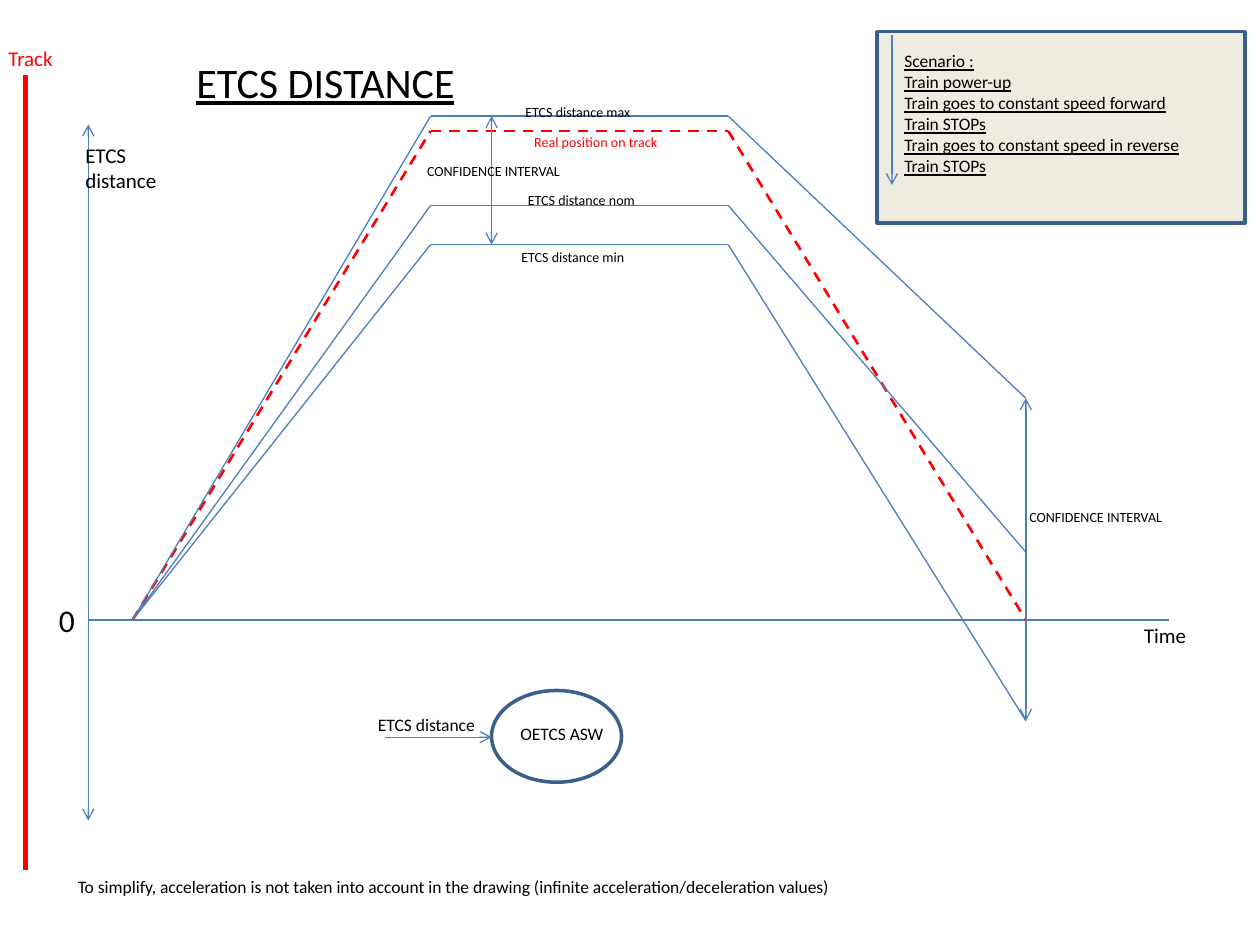
from dataclasses import dataclass

from lxml import etree
from pptx import Presentation
from pptx.dml.color import RGBColor
from pptx.enum.dml import MSO_LINE_DASH_STYLE
from pptx.enum.shapes import MSO_CONNECTOR_TYPE, MSO_SHAPE
from pptx.enum.text import MSO_AUTO_SIZE
from pptx.oxml.ns import qn
from pptx.util import Cm, Pt

STRAIGHT = MSO_CONNECTOR_TYPE.STRAIGHT
DASH = MSO_LINE_DASH_STYLE.DASH
RECTANGLE = MSO_SHAPE.RECTANGLE
OVAL = MSO_SHAPE.OVAL
GROW_SHAPE = MSO_AUTO_SIZE.SHAPE_TO_FIT_TEXT


@dataclass(frozen=True)
class Theme:
    font: str = "Calibri"
    black: RGBColor = RGBColor(0x00, 0x00, 0x00)
    red: RGBColor = RGBColor(0xFF, 0x00, 0x00)
    blue: RGBColor = RGBColor(0x4B, 0x7E, 0xBC)
    outline: RGBColor = RGBColor(0x3A, 0x5F, 0x8C)
    panel: RGBColor = RGBColor(0xEE, 0xEC, 0xE1)
    title: int = 24
    zero: int = 18
    axis: int = 12
    body: int = 10
    label: int = 8


THEME = Theme()

# Horizontal and vertical landmarks of the graph, in centimetres
AXIS_X, DEPARTURE_X, STOP_X, REVERSE_X, END_X = 1.78, 2.67, 8.68, 14.68, 20.68
ZERO_Y = 12.5
INTERVAL_X = 9.91

# Heights at standstill and at the end of the reverse run
REAL = (2.64, 12.5)
MAXIMUM = (2.34, 8.03)
NOMINAL = (4.14, 11.13)
MINIMUM = (4.93, 14.53)

SCENARIO = """Scenario :
Train power-up
Train goes to constant speed forward
Train STOPs
Train goes to constant speed in reverse
Train STOPs"""

NOTE = ("To simplify, acceleration is not taken into account in the drawing "
        "(infinite acceleration/deceleration values)")


def add_text(slide, text, left, top, width, height, size=THEME.body,
             color=THEME.black, underline=None, wrap=False):
    """Add a text box with one paragraph for each line of text."""
    box = slide.shapes.add_textbox(Cm(left), Cm(top), Cm(width), Cm(height))
    frame = box.text_frame
    frame.text = text
    frame.word_wrap = wrap
    frame.auto_size = GROW_SHAPE
    for paragraph in frame.paragraphs:
        font = paragraph.runs[0].font
        font.name = THEME.font
        font.size = Pt(size)
        font.color.rgb = color
        font.underline = underline


def add_line(slide, start, end, color=THEME.blue, width=0.75, dash=None,
             arrows=()):
    """Draw a line; arrows holds "headEnd" (start) and/or "tailEnd" (end)."""
    connector = slide.shapes.add_connector(
        STRAIGHT, Cm(start[0]), Cm(start[1]), Cm(end[0]), Cm(end[1]))
    connector.line.color.rgb = color
    connector.line.width = Pt(width)
    if dash is not None:
        connector.line.dash_style = dash
    properties = connector.element.spPr
    for arrow in arrows:
        etree.SubElement(properties.find(qn("a:ln")), qn(f"a:{arrow}"),
                         type="arrow")
    etree.SubElement(properties, qn("a:effectLst"))


def add_arrow(slide, start, end):
    add_line(slide, start, end, arrows=("tailEnd",))


def add_double_arrow(slide, start, end):
    add_line(slide, start, end, arrows=("headEnd", "tailEnd"))


def add_outlined_shape(slide, kind, left, top, width, height, fill=None):
    shape = slide.shapes.add_shape(
        kind, Cm(left), Cm(top), Cm(width), Cm(height))
    shape.shadow.inherit = False
    shape.line.color.rgb = THEME.outline
    shape.line.width = Pt(2)
    if fill is None:
        shape.fill.background()
    else:
        shape.fill.solid()
        shape.fill.fore_color.rgb = fill


def add_curve(slide, levels, **line_format):
    """Draw the forward run, the standstill and the reverse run."""
    plateau, final = levels
    points = [(DEPARTURE_X, ZERO_Y), (STOP_X, plateau),
              (REVERSE_X, plateau), (END_X, final)]
    for start, end in zip(points, points[1:]):
        add_line(slide, start, end, **line_format)


def add_scenario(slide):
    add_outlined_shape(slide, RECTANGLE, 17.68, 0.64, 7.42, 3.86, THEME.panel)
    add_text(slide, SCENARIO, 17.98, 0.89, 6.2, 2.82, underline=True)
    add_arrow(slide, (17.98, 0.71), (17.98, 3.73))


def add_axes(slide):
    add_line(slide, (0.51, 17.53), (0.51, 1.52), color=THEME.red, width=3)
    add_text(slide, "Track", -0.08, 0.79, 1.42, 0.76, size=THEME.axis,
             color=THEME.red)
    add_double_arrow(slide, (AXIS_X, 2.51), (AXIS_X, 16.54))
    add_line(slide, (AXIS_X, ZERO_Y), (23.57, ZERO_Y))
    add_text(slide, "ETCS\ndistance", 1.47, 2.74, 1.96, 1.27, size=THEME.axis)
    add_text(slide, "Time", 22.81, 12.42, 1.37, 0.76, size=THEME.axis)
    add_text(slide, "0", 0.94, 11.99, 0.84, 1.02, size=THEME.zero)


def add_graph(slide):
    add_curve(slide, REAL, color=THEME.red, width=1.5, dash=DASH)
    for levels in (NOMINAL, MAXIMUM, MINIMUM):
        add_curve(slide, levels)
    for x, top, bottom in ((INTERVAL_X, MAXIMUM[0], MINIMUM[0]),
                           (END_X, MAXIMUM[1], MINIMUM[1])):
        add_double_arrow(slide, (x, top), (x, bottom))

    labels = [
        ("Real position on track", 10.52, 2.57, 3.02, THEME.red),
        ("ETCS distance max", 10.34, 1.96, 2.67, THEME.black),
        ("ETCS distance min", 10.26, 4.88, 2.62, THEME.black),
        ("ETCS distance nom", 10.39, 3.73, 2.69, THEME.black),
        ("CONFIDENCE INTERVAL", 20.5, 10.13, 3.2, THEME.black),
        ("CONFIDENCE INTERVAL", 8.36, 3.15, 3.2, THEME.black),
    ]
    for text, left, top, width, color in labels:
        add_text(slide, text, left, top, width, 0.61, size=THEME.label,
                 color=color)


def add_software_input(slide):
    add_outlined_shape(slide, OVAL, INTERVAL_X, 13.92, 2.62, 1.85)
    add_text(slide, "OETCS ASW", 10.24, 14.45, 2.21, 0.69)
    add_text(slide, "ETCS distance", 7.37, 14.27, 2.51, 0.69)
    add_arrow(slide, (7.77, 14.86), (INTERVAL_X, 14.86))


def main():
    presentation = Presentation()
    presentation.slide_width = Cm(25.4)
    presentation.slide_height = Cm(19.05)
    slide = presentation.slides.add_slide(presentation.slide_layouts[6])

    add_scenario(slide)
    add_text(slide, "ETCS DISTANCE", 3.71, 1.02, 5.77, 1.27,
             size=THEME.title, underline=True)
    add_axes(slide)
    add_graph(slide)
    add_text(slide, NOTE, 1.32, 17.53, 20.98, 0.69, wrap=True)
    add_software_input(slide)

    presentation.save("out.pptx")


if __name__ == "__main__":
    main()
